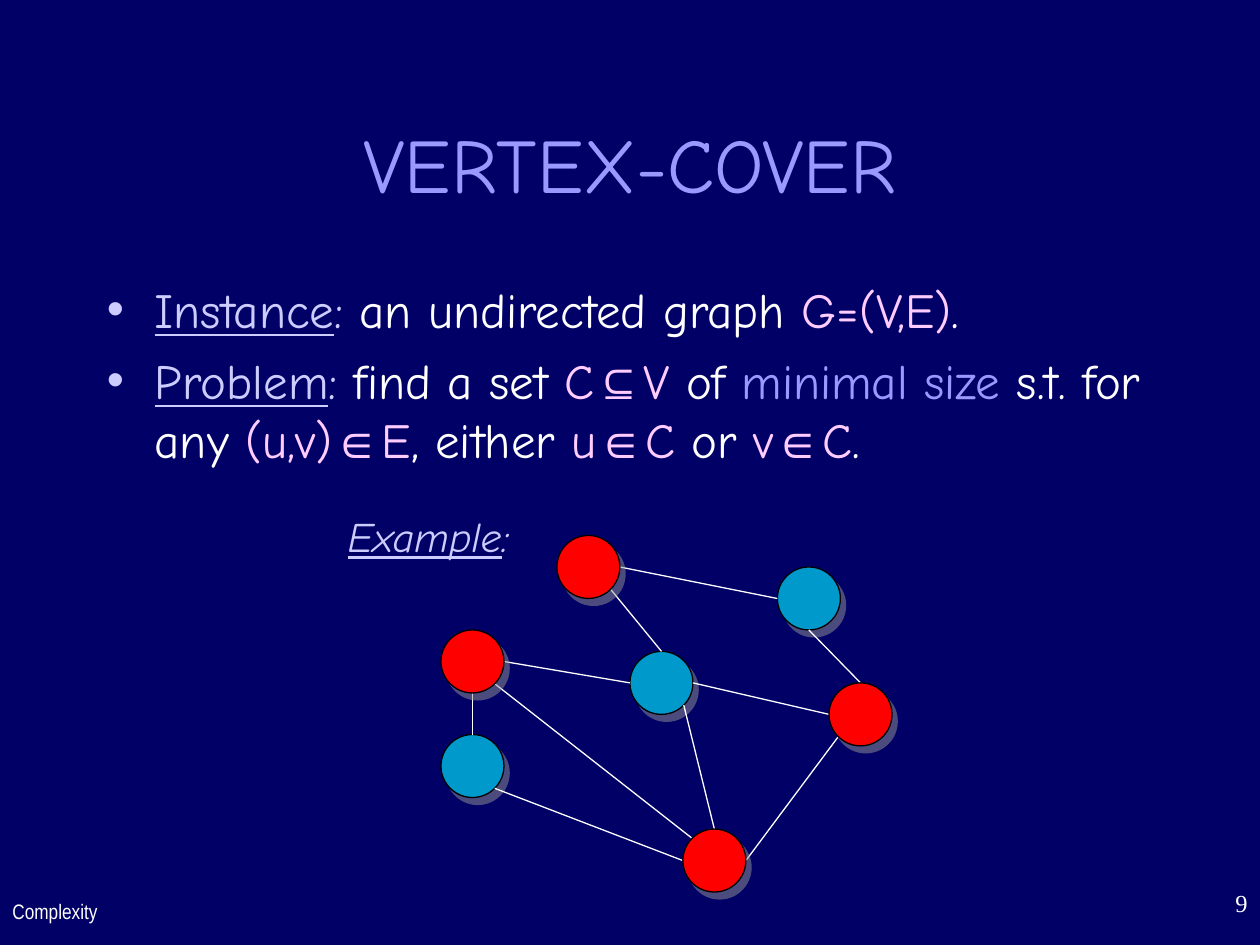
import math

from lxml import etree
from pptx import Presentation
from pptx.dml.color import RGBColor
from pptx.enum.shapes import MSO_CONNECTOR, MSO_SHAPE
from pptx.enum.text import MSO_ANCHOR, PP_ALIGN
from pptx.oxml.ns import qn
from pptx.util import Inches, Pt

OVAL = MSO_SHAPE.OVAL
STRAIGHT = MSO_CONNECTOR.STRAIGHT
MIDDLE = MSO_ANCHOR.MIDDLE
LEFT, CENTER, RIGHT = PP_ALIGN.LEFT, PP_ALIGN.CENTER, PP_ALIGN.RIGHT

COLORS = {
    "background": "000066",
    "title": "9999FF",
    "label": "CCCCFF",
    "text": "FFFFFF",
    "math": "FFCCFF",
    "vertex": "0099CC",
    "cover": "FF0000",
    "outline": "000000",
    "shadow": "969696",
}
FONT = "Comic Neue"
SYMBOL_FONT = "Arial"
SYMBOLS = "⊆∈"

DEFINITIONS = [
    [("Instance", "label"), (":", "label"), (" an undirected graph ", "text"),
     ("G=(V,E)", "math"), (".", "text")],
    [("Problem", "label"), (":", "label"), (" find a set ", "text"),
     ("C", "math"), ("⊆", "math"), ("V", "math"), (" of ", "text"),
     ("minimal size", "title"), (" s.t. for any ", "text"),
     ("(u,v)", "math"), ("∈", "math"), ("E", "math"), (", either ", "text"),
     ("u", "math"), ("∈", "math"), ("C", "math"), (" or ", "text"),
     ("v", "math"), ("∈", "math"), ("C", "math"), (".", "text")],
]

DIAMETER = 0.5
VERTICES = {
    "lower left": (0, 1.58),
    "center": (1.5, 0.92),
    "upper right": (2.67, 0.25),
}
COVER = {
    "bottom": (1.92, 2.33),
    "left": (0, 0.75),
    "top": (0.92, 0),
    "right": (3.08, 1.17),
}
TOP, TOP_LEFT, WEST, BOTTOM_LEFT, BOTTOM, BOTTOM_RIGHT, EAST = range(7)
EDGES = [
    ("lower left", BOTTOM_RIGHT, "bottom", WEST),
    ("lower left", TOP, "left", BOTTOM),
    ("left", EAST, "center", WEST),
    ("center", TOP, "top", BOTTOM_RIGHT),
    ("center", BOTTOM_RIGHT, "bottom", TOP),
    ("top", EAST, "upper right", WEST),
    ("upper right", BOTTOM, "right", TOP),
    ("right", WEST, "center", EAST),
    ("right", BOTTOM_LEFT, "bottom", EAST),
    ("left", BOTTOM_RIGHT, "bottom", TOP_LEFT),
]


def rgb(name):
    return RGBColor.from_string(COLORS[name])


def place(shape, box):
    shape.left, shape.top, shape.width, shape.height = map(Inches, box)


def format_run(run, size, color, font=FONT):
    run.font.size = Pt(size)
    run.font.name = font
    run.font.color.rgb = rgb(color)


def add_text(slide, box, text, size, color, font=FONT, align=LEFT):
    shape = slide.shapes.add_textbox(*map(Inches, box))
    shape.text_frame.word_wrap = True
    paragraph = shape.text_frame.paragraphs[0]
    paragraph.text = text
    paragraph.alignment = align
    format_run(paragraph.runs[0], size, color, font)
    return shape


def add_title(slide, box):
    title = slide.shapes.title
    place(title, box)
    title.text_frame.text = "VERTEX-COVER"
    title.text_frame.vertical_anchor = MIDDLE
    paragraph = title.text_frame.paragraphs[0]
    paragraph.alignment = CENTER
    format_run(paragraph.runs[0], 44, "title")


def set_bullet(paragraph):
    properties = paragraph._p.get_or_add_pPr()
    properties.set("marL", str(Inches(0.38)))
    properties.set("indent", str(Inches(-0.38)))
    color = etree.SubElement(properties, qn("a:buClr"))
    etree.SubElement(color, qn("a:srgbClr"), val=COLORS["label"])
    etree.SubElement(properties, qn("a:buFont"), typeface=SYMBOL_FONT)
    etree.SubElement(properties, qn("a:buChar"), char="•")


def add_definitions(slide, box):
    frame = slide.shapes.add_textbox(*map(Inches, box)).text_frame
    frame.word_wrap = True
    for index, pieces in enumerate(DEFINITIONS):
        paragraph = frame.add_paragraph() if index else frame.paragraphs[0]
        paragraph.space_before = Pt(7)
        set_bullet(paragraph)
        for position, (text, color) in enumerate(pieces):
            run = paragraph.add_run()
            run.text = text
            format_run(run, 28, color, SYMBOL_FONT if text in SYMBOLS else FONT)
            run.font.underline = position == 0


def add_example_label(slide, box):
    shape = add_text(slide, box, "Example", 24, "label", align=CENTER)
    frame = shape.text_frame
    frame.word_wrap = False
    frame.vertical_anchor = MIDDLE
    colon = frame.paragraphs[0].add_run()
    colon.text = ":"
    format_run(colon, 24, "label")
    for run in frame.paragraphs[0].runs:
        run.font.italic = True
    frame.paragraphs[0].runs[0].font.underline = True


def add_vertex(slide, left, top, color):
    vertex = slide.shapes.add_shape(
        OVAL, Inches(left), Inches(top), Inches(DIAMETER), Inches(DIAMETER))
    vertex.fill.solid()
    vertex.fill.fore_color.rgb = rgb(color)
    vertex.line.color.rgb = rgb("outline")
    vertex.line.width = Pt(0.75)
    vertex.shadow.inherit = False
    effects = vertex._element.spPr.find(qn("a:effectLst"))
    shadow = etree.SubElement(
        effects, qn("a:outerShdw"), blurRad="0", dist=str(Pt(5)),
        dir=str(53 * 60000), algn="ctr", rotWithShape="0")
    shade = etree.SubElement(shadow, qn("a:srgbClr"), val=COLORS["shadow"])
    etree.SubElement(shade, qn("a:alpha"), val="50000")


def site_point(corner, site):
    angle = math.radians(90 + 45 * site)
    radius = DIAMETER / 2
    return (Inches(corner[0] + radius + radius * math.cos(angle)),
            Inches(corner[1] + radius - radius * math.sin(angle)))


def add_edge(slide, start, end):
    edge = slide.shapes.add_connector(STRAIGHT, *start, *end)
    edge.line.color.rgb = rgb("text")
    edge.line.width = Pt(0.75)
    etree.SubElement(edge._element.spPr, qn("a:effectLst"))


def add_graph(slide, left, top):
    corners = {name: (left + x, top + y)
               for name, (x, y) in {**VERTICES, **COVER}.items()}
    for name in VERTICES:
        add_vertex(slide, *corners[name], "vertex")
    for start, start_site, end, end_site in EDGES:
        add_edge(slide, site_point(corners[start], start_site),
                 site_point(corners[end], end_site))
    for name in COVER:
        add_vertex(slide, *corners[name], "cover")


def main():
    presentation = Presentation()
    presentation.slide_width = Inches(10)
    presentation.slide_height = Inches(7.5)
    slide = presentation.slides.add_slide(presentation.slide_layouts[5])
    slide.background.fill.solid()
    slide.background.fill.fore_color.rgb = rgb("background")

    add_text(slide, (0, 7.08, 1.25, 0.42), "Complexity", 12, "text", "Arial Narrow")
    add_text(slide, (7.92, 7, 2.08, 0.5), "9", 14, "text", "Times New Roman", RIGHT)
    add_title(slide, (0.75, 0.67, 8.5, 1.25))
    add_definitions(slide, (0.75, 2.17, 8.5, 2.07))
    add_graph(slide, 3.5, 4.25)
    add_example_label(slide, (2.66, 4, 1.48, 0.5))
    presentation.save("out.pptx")


if __name__ == "__main__":
    main()
